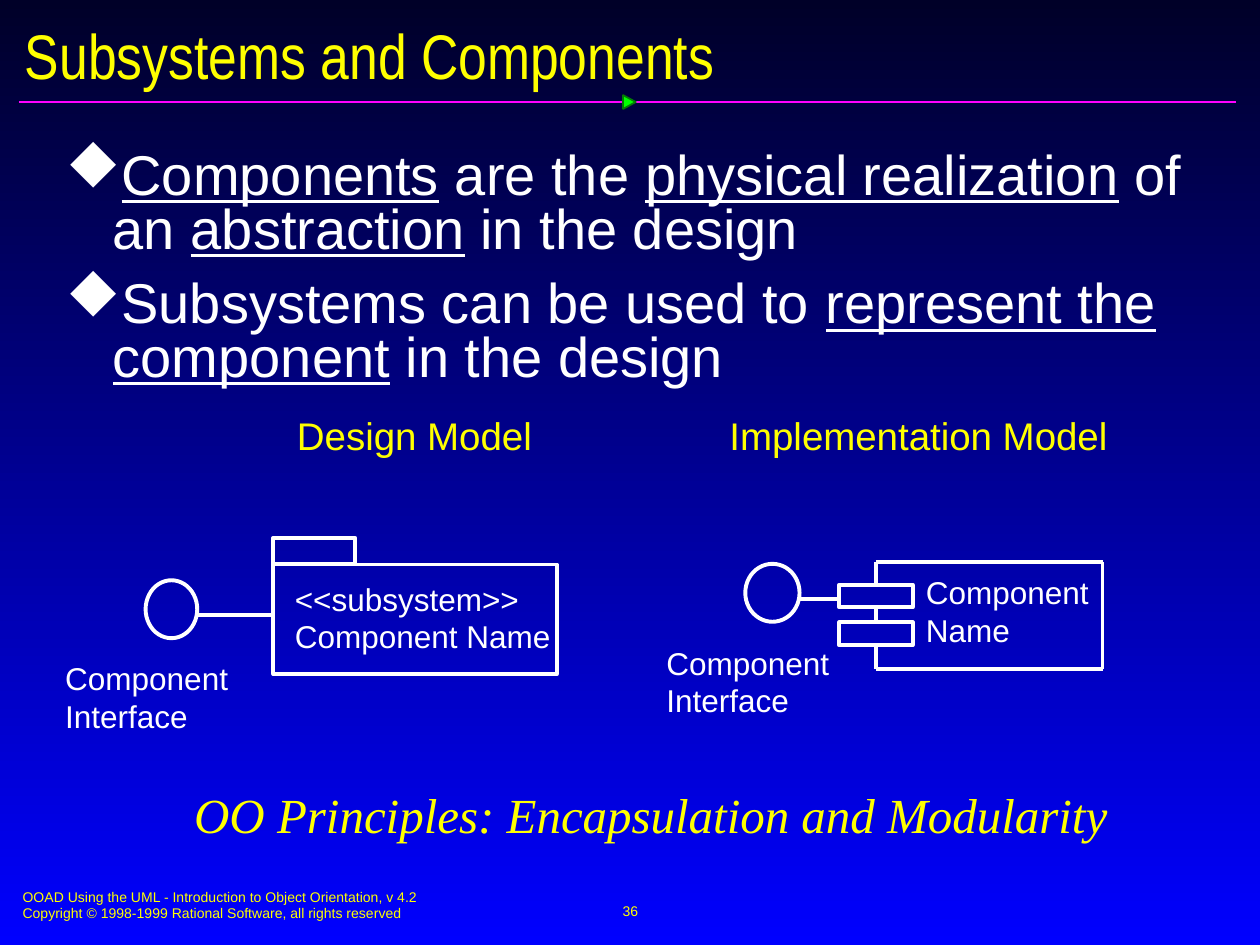
from dataclasses import dataclass
from typing import Optional

import pptx
import pptx.dml.color
import pptx.enum.shapes
import pptx.enum.text
import pptx.util
from lxml import etree
from pptx.enum.shapes import MSO_SHAPE
from pptx.enum.text import MSO_ANCHOR, PP_ALIGN
from pptx.oxml.ns import qn

Pt = pptx.util.Pt

COLOURS = {
    "night": "000028",
    "blue": "0000FF",
    "yellow": "FFFF00",
    "white": "FFFFFF",
    "magenta": "FF01FF",
    "green": "00FF00",
    "dark green": "037C03",
}
STROKE = 2.25


@dataclass(frozen=True)
class Label:
    lines: tuple[str, ...]
    left: float
    top: float
    width: float
    height: float
    size: float = 18
    colour: str = "white"
    font: str = "Arial"
    italic: bool = False
    align: PP_ALIGN = PP_ALIGN.LEFT
    anchor: MSO_ANCHOR = MSO_ANCHOR.TOP
    wrap: bool = False
    inset: tuple[float, float] = (7.2, 3.6)


@dataclass(frozen=True)
class Box:
    left: float
    top: float
    width: float
    height: float
    kind: MSO_SHAPE = MSO_SHAPE.RECTANGLE
    fill: Optional[str] = None
    line: str = "white"
    line_width: float = STROKE
    rotation: float = 0


LABELS = (
    Label(("OOAD Using the UML - Introduction to Object Orientation, v 4.2",
           "Copyright © 1998-1999 Rational Software, all rights reserved"),
          5.8, 504, 367, 26.6, size=8, colour="yellow", wrap=True),
    Label(("36",), 246.2, 502.6, 228.2, 36, size=8, colour="yellow",
          align=PP_ALIGN.CENTER, anchor=MSO_ANCHOR.MIDDLE),
    Label(("Subsystems and Components",), 7.2, 10.1, 708.5, 41.8, size=36, colour="yellow",
          font="Arial Narrow", anchor=MSO_ANCHOR.MIDDLE, wrap=True),
    Label(("Design Model",), 159.7, 231.8, 154.3, 33.8, size=22, colour="yellow",
          align=PP_ALIGN.CENTER, anchor=MSO_ANCHOR.MIDDLE),
    Label(("Implementation Model",), 406.7, 231.8, 236.4, 33.8, size=22, colour="yellow",
          align=PP_ALIGN.CENTER, anchor=MSO_ANCHOR.MIDDLE),
    Label(("<<subsystem>>", "Component Name"), 168.5, 331.2, 148, 43.2, inset=(0, 0)),
    Label(("Component", "Name"), 522, 324, 108, 50.4),
    Label(("Component Interface",), 30.2, 373, 111.6, 50.4, wrap=True),
    Label(("Component Interface",), 373.7, 364.3, 111.6, 50.4, wrap=True),
    Label(("OO Principles: Encapsulation and Modularity",), 72, 444.2, 599.8, 42.5, size=28,
          colour="yellow", font="Times New Roman", italic=True,
          align=PP_ALIGN.CENTER, wrap=True, inset=(8.64, 4.32)),
)

# Each bullet is a row of (text, underlined) pieces.
BULLETS = (
    (("Components", True), (" are the ", False), ("physical realization", True),
     (" of an ", False), ("abstraction", True), (" in the design", False)),
    (("Subsystems can be used to ", False), ("represent the component", True),
     (" in the design", False)),
)


def rgb(name: str) -> pptx.dml.color.RGBColor:
    return pptx.dml.color.RGBColor.from_string(COLOURS[name])


def add_text_frame(slide, label: Label):
    shape = slide.shapes.add_textbox(
        Pt(label.left), Pt(label.top), Pt(label.width), Pt(label.height))
    frame = shape.text_frame
    frame.word_wrap = label.wrap
    frame.vertical_anchor = label.anchor
    frame.margin_left = frame.margin_right = Pt(label.inset[0])
    frame.margin_top = frame.margin_bottom = Pt(label.inset[1])
    return frame


def style_paragraph(paragraph, label: Label) -> None:
    paragraph.alignment = label.align
    paragraph.font.name = label.font
    paragraph.font.size = Pt(label.size)
    paragraph.font.italic = label.italic
    paragraph.font.color.rgb = rgb(label.colour)


def add_label(slide, label: Label) -> None:
    frame = add_text_frame(slide, label)
    frame.text = "\n".join(label.lines)
    for paragraph in frame.paragraphs:
        style_paragraph(paragraph, label)


def add_diamond_bullet(paragraph) -> None:
    """Hang the paragraph on a white diamond, which Wingdings keeps at the letter u."""
    properties = paragraph._p.get_or_add_pPr()
    properties.set("marL", str(Pt(27)))
    properties.set("indent", str(-Pt(27)))
    bullet_colour = etree.SubElement(properties, qn("a:buClr"))
    etree.SubElement(bullet_colour, qn("a:srgbClr"), val=COLOURS["white"])
    etree.SubElement(properties, qn("a:buFont"), typeface="Wingdings",
                     pitchFamily="2", charset="2")
    etree.SubElement(properties, qn("a:buChar"), char="u")


def add_bullets(slide) -> None:
    body = Label((), 28.8, 82.8, 668.9, 397.4, size=32, wrap=True, inset=(8.64, 4.32))
    frame = add_text_frame(slide, body)
    for index, pieces in enumerate(BULLETS):
        paragraph = frame.add_paragraph() if index else frame.paragraphs[0]
        paragraph.line_spacing = 0.8
        if index:
            paragraph.space_before = Pt(12)
        add_diamond_bullet(paragraph)
        style_paragraph(paragraph, body)
        for text, underlined in pieces:
            run = paragraph.add_run()
            run.text = text
            if underlined:
                run.font.underline = True


def add_box(slide, box: Box):
    shape = slide.shapes.add_shape(
        box.kind, Pt(box.left), Pt(box.top), Pt(box.width), Pt(box.height))
    shape.shadow.inherit = False
    shape.rotation = box.rotation
    if box.fill:
        shape.fill.solid()
        shape.fill.fore_color.rgb = rgb(box.fill)
    else:
        shape.fill.background()
    shape.line.color.rgb = rgb(box.line)
    shape.line.width = Pt(box.line_width)
    return shape


def add_line(slide, start: tuple[float, float], end: tuple[float, float],
             colour: str = "white", width: float = STROKE):
    connector = slide.shapes.add_connector(
        pptx.enum.shapes.MSO_CONNECTOR.STRAIGHT,
        Pt(start[0]), Pt(start[1]), Pt(end[0]), Pt(end[1]))
    connector.line.color.rgb = rgb(colour)
    connector.line.width = Pt(width)
    etree.SubElement(connector._element.spPr, qn("a:effectLst"))
    return connector


def add_header_rule(slide) -> None:
    add_line(slide, (10.8, 58.3), (706.3, 58.3), "magenta", 1)
    add_box(slide, Box(355.7, 54.7, 7.9, 7.2, MSO_SHAPE.ISOSCELES_TRIANGLE,
                       "green", "dark green", 1, rotation=90))


def add_subsystem(slide) -> None:
    """Package symbol with its interface circle."""
    add_box(slide, Box(156.2, 322.6, 162, 62.6))
    add_box(slide, Box(156.2, 307.4, 46.8, 15.2))
    add_box(slide, Box(83.2, 331.6, 29.5, 33.1, MSO_SHAPE.OVAL))
    add_line(slide, (112.3, 351.4), (156.2, 351.4))


def add_component(slide) -> None:
    """Component symbol, its open left side broken by two tabs, with its interface circle."""
    left, right, top, bottom = 500.5, 630, 321.1, 382.3
    upper_tab, lower_tab = (
        add_box(slide, Box(479.5, tab_top, 42, 13)) for tab_top in (334.1, 355.7))
    add_line(slide, (left, top), (right, top))
    add_line(slide, (right, top), (right, bottom))
    add_line(slide, (right, bottom), (left, bottom))
    add_line(slide, (left, top), (left, 334.1)).end_connect(upper_tab, 0)
    between = add_line(slide, (left, 347.1), (left, 355.7))
    between.begin_connect(upper_tab, 2)
    between.end_connect(lower_tab, 0)
    add_line(slide, (left, 368.7), (left, bottom)).begin_connect(lower_tab, 2)
    add_box(slide, Box(425.9, 322.2, 31, 33.1, MSO_SHAPE.OVAL))
    add_line(slide, (456.5, 342.4), (479.5, 342.4))


def main() -> None:
    presentation = pptx.Presentation()
    presentation.slide_width, presentation.slide_height = Pt(720), Pt(540)
    slide = presentation.slides.add_slide(presentation.slide_layouts[6])
    background = slide.background.fill
    background.gradient()
    background.gradient_angle = 270
    for stop, name in zip(background.gradient_stops, ("night", "blue")):
        stop.color.rgb = rgb(name)
    add_header_rule(slide)
    add_subsystem(slide)
    add_component(slide)
    for label in LABELS:
        add_label(slide, label)
    add_bullets(slide)
    presentation.save("out.pptx")


if __name__ == "__main__":
    main()
